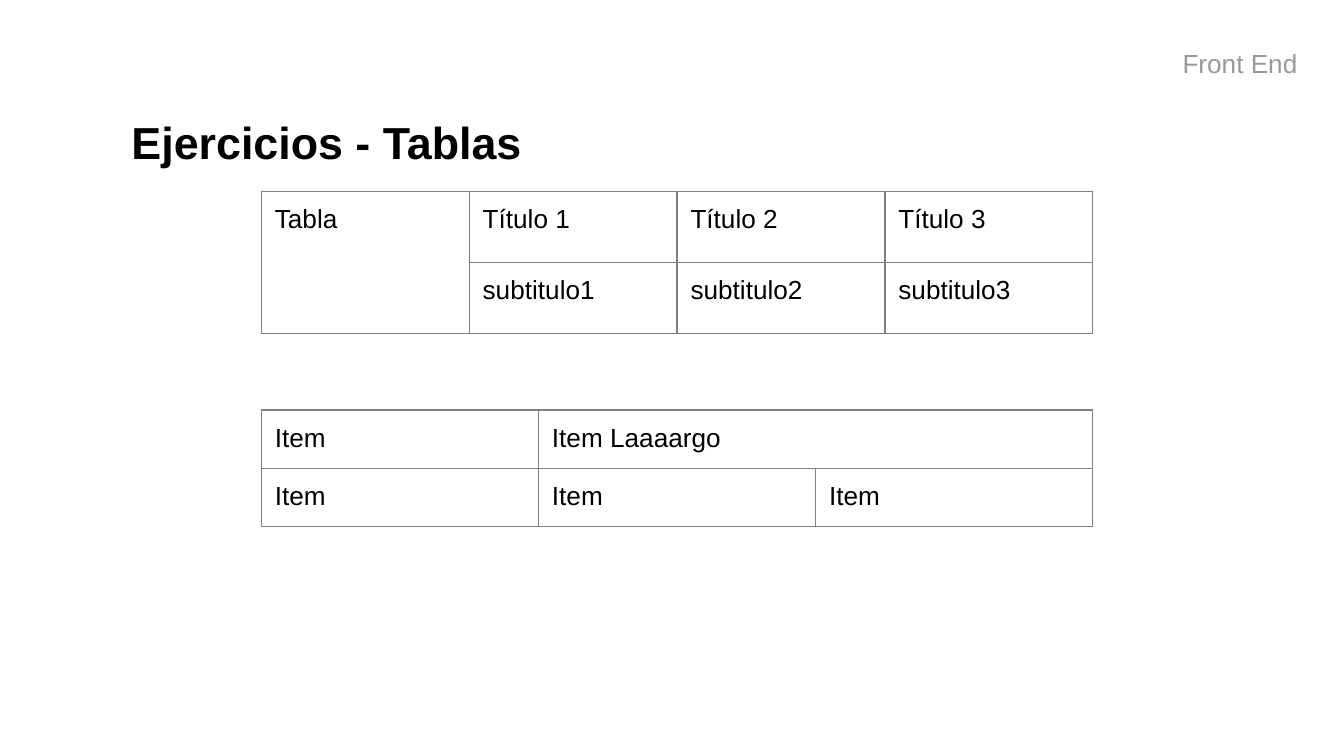
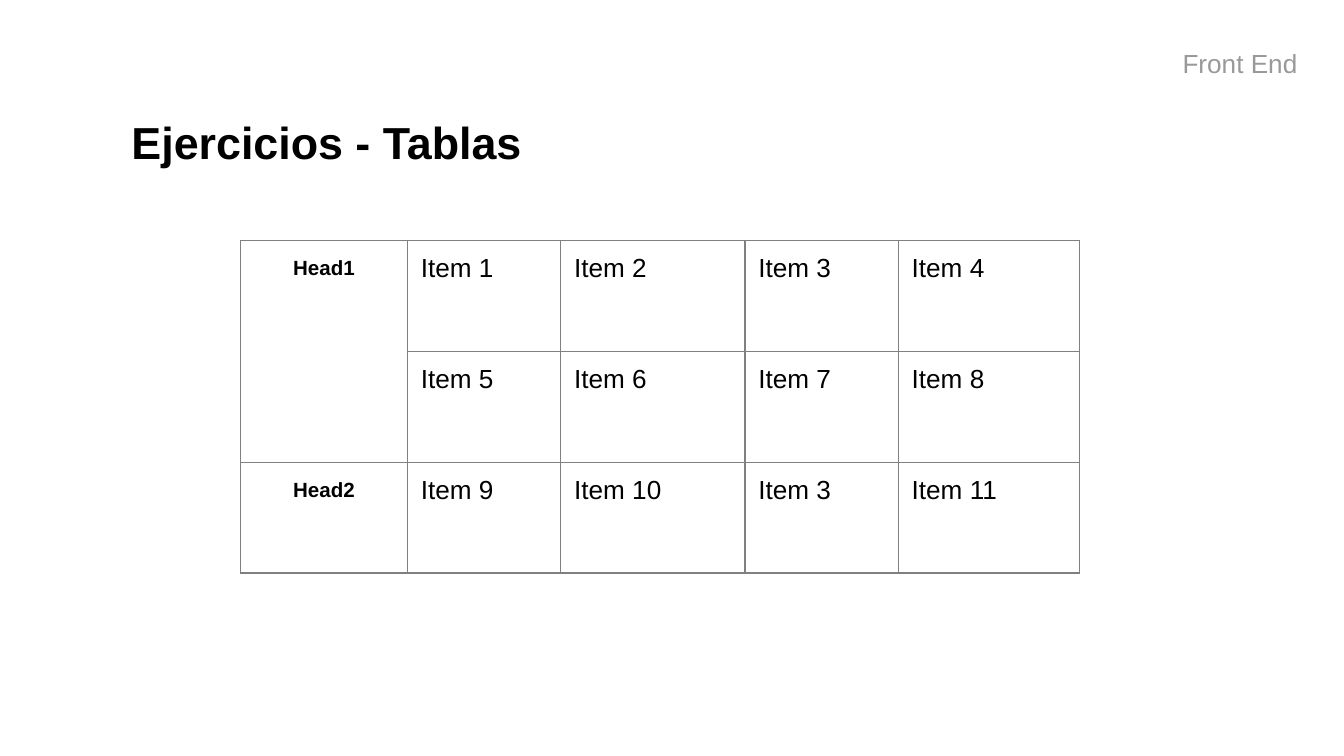
from collections import namedtuple
from dataclasses import dataclass

from lxml.etree import SubElement
from pptx import Presentation
from pptx.dml.color import RGBColor as Color
from pptx.enum.text import MSO_ANCHOR as Anchor, PP_ALIGN as Align
from pptx.oxml.ns import qn
from pptx.util import Inches, Pt

Box = namedtuple("Box", "left top width height")


@dataclass(frozen=True)
class Theme:
    font: str = "Arial"
    ink: str = "000000"
    muted: str = "999999"
    rule: str = "808080"
    paper: str = "FFFFFF"
    title_size: int = 24
    body_size: int = 14
    head_size: int = 11
    rule_width: float = 0.75
    inset: float = 0.1
    title_indent: float = 0.5


THEME = Theme()
SLIDE_WIDTH = Inches(10)
SLIDE_HEIGHT = SLIDE_WIDTH * 9 // 16
BLANK_LAYOUT = 6

# Boxes are given in a grid of 100 columns by 100 rows over the slide
GRID = 100
LABEL_BOX = Box(87, 4.44, 10.9, 9.6)
TITLE_BOX = Box(3.8, 13.16, 93.2, 11.2)
HEADINGS_BOX = Box(19.45, 25.3, 61.87, 18.8)
ITEMS_BOX = Box(19.45, 54.22, 61.87, 8.53)
HEADS_BOX = Box(17.9, 31.82, 62.45, 44)
# Nominal side of every table frame; its rows and columns set what is drawn
FRAME_SIDE = int(32.8 * SLIDE_WIDTH / GRID)

# None marks a cell covered by a merge
HEADINGS = [
    ["Tabla", "Título 1", "Título 2", "Título 3"],
    [None, "subtitulo1", "subtitulo2", "subtitulo3"],
]
ITEMS = [
    ["Item", "Item Laaaargo", None],
    ["Item", "Item", "Item"],
]
HEADS = [
    ["Head1", "Item 1", "Item 2", "Item 3", "Item 4"],
    [None, "Item 5", "Item 6", "Item 7", "Item 8"],
    ["Head2", "Item 9", "Item 10", "Item 3", "Item 11"],
]


def to_emu(box):
    """Turn a grid box into slide lengths."""
    return Box(
        int(box.left * SLIDE_WIDTH / GRID),
        int(box.top * SLIDE_HEIGHT / GRID),
        int(box.width * SLIDE_WIDTH / GRID),
        int(box.height * SLIDE_HEIGHT / GRID),
    )


def style_para(para, size, color=THEME.ink, bold=False):
    for span in para.runs:
        span.font.name = THEME.font
        span.font.size = Pt(size)
        span.font.bold = bold
        span.font.color.rgb = Color.from_string(color)


def set_insets(holder):
    """Give a text frame or a table cell the shared margins."""
    for side in ("left", "top", "right", "bottom"):
        setattr(holder, f"margin_{side}", Inches(THEME.inset))


def add_text(page, box, text, size, anchor=Anchor.TOP, **style):
    frame = page.shapes.add_textbox(*to_emu(box)).text_frame
    frame.word_wrap = True
    frame.vertical_anchor = anchor
    set_insets(frame)
    frame.text = text
    para = frame.paragraphs[0]
    style_para(para, size, **style)
    return para


def set_borders(cell):
    props = cell._tc.get_or_add_tcPr()
    for tag in ("a:lnL", "a:lnR", "a:lnT", "a:lnB"):
        line = SubElement(props, qn(tag), w=str(Pt(THEME.rule_width)))
        fill = SubElement(line, qn("a:solidFill"))
        SubElement(fill, qn("a:srgbClr"), val=THEME.rule)


def fill_cell(cell, text, is_head):
    set_insets(cell)
    set_borders(cell)
    cell.fill.background()
    if text is None:
        return
    cell.text_frame.text = text
    para = cell.text_frame.paragraphs[0]
    if is_head:
        para.alignment = Align.CENTER
        para.line_spacing = 1.15
        style_para(para, THEME.head_size, bold=True)
    else:
        style_para(para, THEME.body_size)


def add_grid_table(page, box, rows, merge=None, weights=None, head_column=False):
    """Draw a ruled table; weights share out the width of its columns."""
    place = to_emu(box)
    weights = weights or [1] * len(rows[0])
    frame = page.shapes.add_table(len(rows), len(weights), *place)
    table = frame.table
    table.first_row = table.horz_banding = False

    for column, weight in zip(table.columns, weights):
        column.width = int(place.width * weight / sum(weights))
    for row in table.rows:
        row.height = place.height // len(rows)
    frame.width = frame.height = FRAME_SIDE

    for r, texts in enumerate(rows):
        for c, text in enumerate(texts):
            fill_cell(table.cell(r, c), text, head_column and c == 0)
    if merge:
        first, last = merge
        table.cell(*first).merge(table.cell(*last))


def add_page(deck, title):
    """Start a slide with the shared background, label and title."""
    page = deck.slides.add_slide(deck.slide_layouts[BLANK_LAYOUT])
    page.background.fill.solid()
    page.background.fill.fore_color.rgb = Color.from_string(THEME.paper)
    add_text(page, LABEL_BOX, "Front End", THEME.body_size, color=THEME.muted)
    para = add_text(page, TITLE_BOX, title, THEME.title_size, Anchor.MIDDLE, bold=True)
    props = para._p.get_or_add_pPr()
    props.set("marL", str(Inches(THEME.title_indent)))
    props.set("indent", "0")
    return page


def add_span_page(deck):
    """Two tables: one row span and one column span."""
    page = add_page(deck, "Ejercicios - Tablas")
    add_grid_table(page, HEADINGS_BOX, HEADINGS, merge=((0, 0), (1, 0)))
    add_grid_table(page, ITEMS_BOX, ITEMS, merge=((0, 1), (0, 2)))


def add_heads_page(deck):
    """One table with a column of row heads."""
    page = add_page(deck, "Ejercicios - Tablas")
    add_grid_table(
        page, HEADS_BOX, HEADS, merge=((0, 0), (1, 0)),
        weights=[1.24, 1.14, 1.37, 1.14, 1.35], head_column=True,
    )


def main():
    deck = Presentation()
    deck.slide_width, deck.slide_height = SLIDE_WIDTH, SLIDE_HEIGHT
    add_span_page(deck)
    add_heads_page(deck)
    deck.save("out.pptx")


if __name__ == "__main__":
    main()
